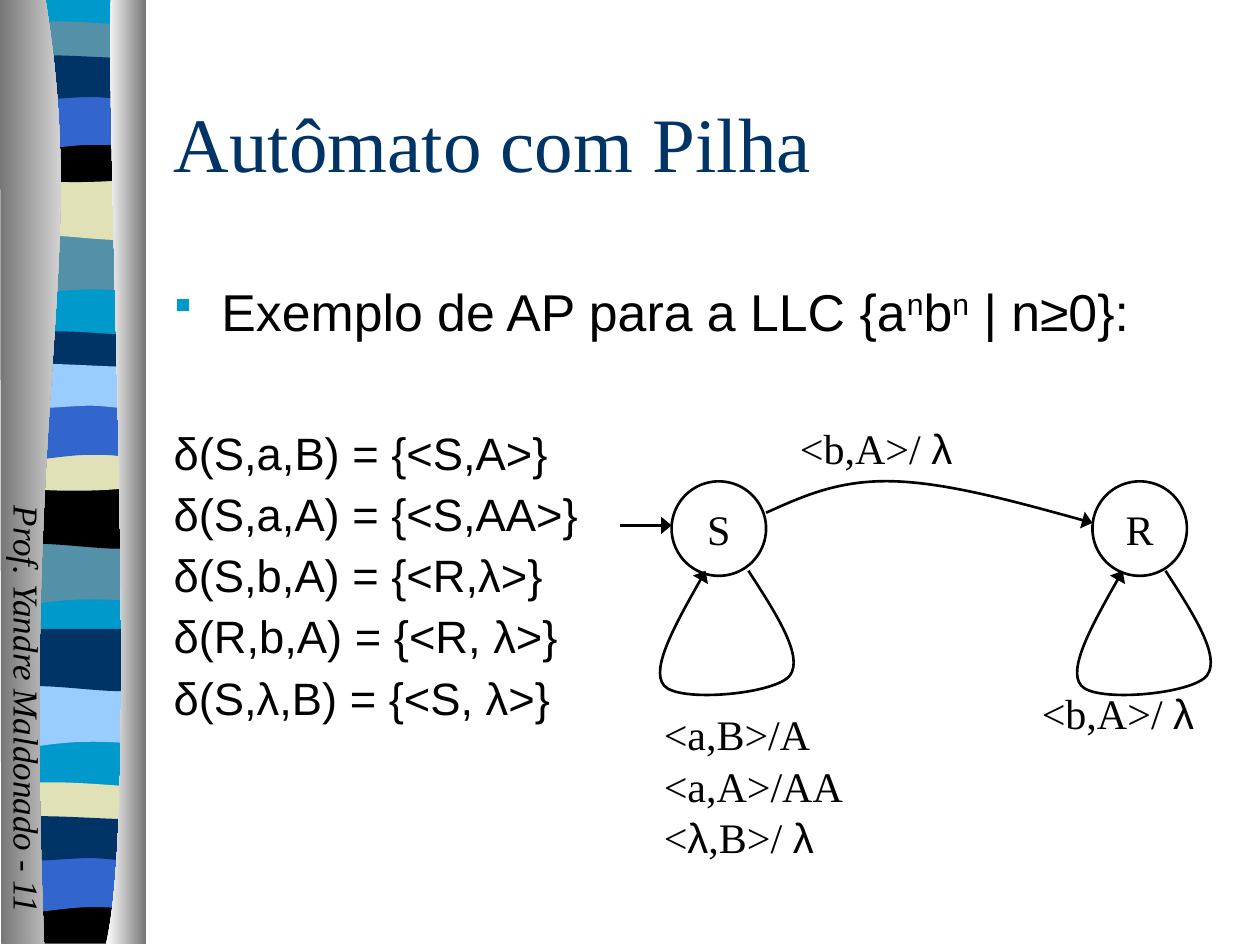
"""Build the pushdown automaton slide with its striped ribbon and state diagram."""
from itertools import groupby

from lxml import etree
from pptx import Presentation
from pptx.dml.color import RGBColor
from pptx.enum.shapes import MSO_CONNECTOR, MSO_SHAPE
from pptx.enum.text import MSO_ANCHOR, PP_ALIGN
from pptx.oxml.ns import qn
from pptx.util import Inches, Pt

STRAIGHT = MSO_CONNECTOR.STRAIGHT
OVAL = MSO_SHAPE.OVAL
MIDDLE = MSO_ANCHOR.MIDDLE
LEFT, CENTER = PP_ALIGN.LEFT, PP_ALIGN.CENTER
SERIF, SANS = "Times New Roman", "Arial"

COLORS = {
    "black": "000000", "navy": "003366", "cyan": "0099CC", "teal": "5490A8",
    "sand": "E1E1B7", "blue": "3366CC", "sky": "99CCFF",
    "shade": "767676", "white": "FFFFFF",
}

BANDS = {
    "wave": [(1.08, 0), (1.08, 0.47), (0.33, 0.39, 0.18, 0.55, 0, 0.47), (0, 0)],
    "block": [(1.08, 0), (1.08, 0.47), (0.9, 0.55, 0.33, 0.41, 0, 0.47), (0, 0)],
    "lens": [(1.08, 0.05), (1.08, 0.29), (0.9, 0.33, 0.18, 0.33, 0, 0.29), (0, 0.05),
             (0.06, 0, 0.23, 0.01, 0.41, 0.01), (0.59, 0.01, 0.94, 0.04, 1.08, 0.05)],
    "bowl": [(1.08, 0), (1.08, 0.32), (0.9, 0.38, 0.18, 0.38, 0, 0.32), (0, 0),
             (0.66, 0.05, 0.85, 0, 1.08, 0)],
    "base": [(1.08, 0), (1.08, 0.37), (0, 0.37), (0, 0), (0.66, 0.05, 0.85, 0, 1.08, 0)],
    "arch": [(1.08, 0), (1.08, 0.47), (0.91, 0.41, 0.84, 0.41, 0.66, 0.41),
             (0.48, 0.41, 0.16, 0.47, 0, 0.47), (0, 0)],
    "swell": [(1.08, 0.05), (1.08, 0.36), (1.01, 0.41, 0.84, 0.36, 0.66, 0.36),
              (0.48, 0.36, 0.11, 0.41, 0, 0.36), (0, 0.05),
              (0.15, 0, 0.73, 0.05, 0.91, 0.05), (1.09, 0.05, 1.04, 0.05, 1.08, 0.05)],
}

RIBBON = [
    (0.06, [("wave", 1.85, "teal"), ("block", 1.41, "sand"), ("lens", 0.16, "teal"),
            ("bowl", 1.08, "black"), ("arch", 0.74, "blue"), ("swell", 0.41, "navy")]),
    (0.05, [("wave", 4.31, "teal"), ("block", 3.86, "black"), ("lens", 2.62, "navy"),
            ("bowl", 3.53, "sand"), ("arch", 3.2, "blue"), ("swell", 2.86, "sky")]),
    (0.06, [("wave", 5.44, "sky"), ("block", 4.99, "navy")]),
    (0.05, [("lens", 6.2, "sand"), ("base", 7.12, "black"), ("arch", 6.79, "blue"),
            ("swell", 6.45, "navy")]),
]

LEFT_EDGE = [(0.36, -0.01), (0.71, 2.16, 0.17, 2.96, 0.35, 7.49), (0.01, 7.49), (0, -0.01)]
RIGHT_EDGE = [(0.88, -0.01), (0.84, 1.25, 1.11, 6.46, 0.84, 7.49), (1.16, 7.49), (1.16, 0)]
TRANSITION = [(6.08, 4.07), (6.37, 3.94, 6.65, 3.81, 7.08, 3.82),
              (7.51, 3.83, 8.09, 3.99, 8.67, 4.15)]
LOOP = [(0.78, 0), (1, 0.34, 1.22, 0.68, 1.11, 0.83),
        (1, 0.98, 0.22, 1.05, 0.11, 0.91), (0, 0.78, 0.22, 0.39, 0.44, 0)]
STATES = [("S", 5.33, 5.16), ("R", 8.67, 8.47)]
STATE_TOP, STATE_SIZE, LOOP_TOP = 3.82, 0.75, 4.53

LANGUAGE = [("Exemplo de AP para a LLC {a", False), ("n", True), ("b", False),
            ("n", True), (" | n≥0}:", False)]
RULES = ["δ(S,a,B) = {<S,A>}", "δ(S,a,A) = {<S,AA>}", "δ(S,b,A) = {<R,λ>}",
         "δ(R,b,A) = {<R, λ>}", "δ(S,λ,B) = {<S, λ>}"]
LABELS = [
    (5.17, 5.75, 1.12, ["<a,B>/A", "<a,A>/AA", "<λ,B>/ λ"]),
    (6.25, 3.48, 0.3, ["<b,A>/ λ"]),
    (8.17, 5.58, 0.3, ["<b,A>/ λ"]),
]


def color(name):
    """Return the named colour."""
    return RGBColor.from_string(COLORS[name])


class SlideBuilder:
    """Hold the slide and its style, with one method for each kind of element."""

    def __init__(self, slide):
        self.slide = slide
        self.shapes = slide.shapes

    def style_font(self, paragraph, size, name=SERIF, tint="black"):
        paragraph.font.size = Pt(size)
        paragraph.font.name = name
        paragraph.font.color.rgb = color(tint)

    def title(self, text, left, top, width, height):
        title = self.shapes.title
        title.left, title.top = Inches(left), Inches(top)
        title.width, title.height = Inches(width), Inches(height)
        title.text_frame.text = text
        title.text_frame.vertical_anchor = MIDDLE
        paragraph = title.text_frame.paragraphs[0]
        paragraph.alignment = LEFT
        self.style_font(paragraph, 44, tint="navy")

    def text_box(self, left, top, width, height):
        box = self.shapes.add_textbox(Inches(left), Inches(top), Inches(width), Inches(height))
        box.text_frame.word_wrap = True
        return box

    def bullet(self, paragraph, tint):
        properties = paragraph._p.get_or_add_pPr()
        properties.set("marL", str(Inches(0.38)))
        properties.set("indent", str(-Inches(0.38)))
        bullet_color = etree.SubElement(properties, qn("a:buClr"))
        etree.SubElement(bullet_color, qn("a:srgbClr"), val=COLORS[tint])
        etree.SubElement(properties, qn("a:buSzPct"), val="80000")
        etree.SubElement(properties, qn("a:buFont"), typeface="Wingdings", charset="2")
        etree.SubElement(properties, qn("a:buChar"), char="§")

    def body(self, left, top, width, height):
        frame = self.text_box(left, top, width, height).text_frame
        heading = frame.paragraphs[0]
        heading.space_before = Pt(8)
        self.style_font(heading, 29.6, SANS)
        self.bullet(heading, "cyan")
        for text, raised in LANGUAGE:
            run = heading.add_run()
            run.text = text
            if raised:
                run._r.get_or_add_rPr().set("baseline", "30000")
        for index, rule in enumerate(RULES):
            paragraph = frame.add_paragraph()
            paragraph.text = rule
            paragraph.line_spacing = 0.9
            paragraph.space_before = Pt(7 if index else 51)
            self.style_font(paragraph, 25.9, SANS)

    def label(self, left, top, height, lines):
        frame = self.text_box(left, top, 1.75, height).text_frame
        for index, line in enumerate(lines):
            paragraph = frame.add_paragraph() if index else frame.paragraphs[0]
            paragraph.line_spacing = 0.5
            paragraph.space_before = Pt(15)
            self.style_font(paragraph, 24)
            for is_lambda, letters in groupby(line, lambda letter: letter == "λ"):
                run = paragraph.add_run()
                run.text = "".join(letters)
                run.font.name = SANS if is_lambda else SERIF

    def side_note(self, text, left, top, width, height):
        box = self.text_box(left, top, width, height)
        box.rotation = 90
        paragraph = box.text_frame.paragraphs[0]
        paragraph.text = text
        paragraph.alignment = CENTER
        paragraph.space_before = Pt(12.5)
        self.style_font(paragraph, 20)
        paragraph.font.italic = True

    def outline(self, shape, arrow=False):
        shape.line.color.rgb = color("black")
        shape.line.width = Pt(1.5)
        if arrow:
            line = shape.element.spPr.find(qn("a:ln"))
            etree.SubElement(line, qn("a:tailEnd"), type="triangle", w="lg", len="med")

    def freeform(self, path, left=0, top=0, close=True):
        points = [(Inches(left + x), Inches(top + y)) for segment in path
                  for x, y in zip(segment[::2], segment[1::2])]
        builder = self.shapes.build_freeform(*points[0], scale=1.0)
        builder.add_line_segments(points[1:], close=close)
        shape = builder.convert_to_shape()
        shape.shadow.inherit = False
        lines = iter(list(shape.element.iter(qn("a:lnTo"))))
        for segment in path[1:]:
            line = next(lines)
            if len(segment) == 6:
                line.addprevious(curve := etree.Element(qn("a:cubicBezTo")))
                for part in (line, next(lines), next(lines)):
                    curve.append(part[0])
                    part.getparent().remove(part)
        return shape

    def band(self, path, left, top, tint):
        shape = self.freeform(path, left, top)
        shape.fill.solid()
        shape.fill.fore_color.rgb = color(tint)
        shape.line.fill.background()

    def edge(self, path, tints):
        shape = self.freeform(path)
        shape.fill.gradient()
        shape.fill.gradient_angle = 0
        for stop, tint in zip(shape.fill.gradient_stops, tints):
            stop.color.rgb = color(tint)
        shape.line.fill.background()

    def curved_arrow(self, path, left=0, top=0):
        shape = self.freeform(path, left, top, close=False)
        shape.fill.background()
        self.outline(shape, arrow=True)

    def straight_arrow(self, start_x, end_x, y):
        connector = self.shapes.add_connector(
            STRAIGHT, Inches(start_x), Inches(y), Inches(end_x), Inches(y))
        self.outline(connector, arrow=True)
        etree.SubElement(connector.element.spPr, qn("a:effectLst"))

    def state(self, name, left):
        shape = self.shapes.add_shape(OVAL, Inches(left), Inches(STATE_TOP),
                                      Inches(STATE_SIZE), Inches(STATE_SIZE))
        shape.shadow.inherit = False
        shape.fill.background()
        self.outline(shape)
        shape.text_frame.text = name
        shape.text_frame.vertical_anchor = MIDDLE
        paragraph = shape.text_frame.paragraphs[0]
        paragraph.alignment = CENTER
        self.style_font(paragraph, 24)


presentation = Presentation()
presentation.slide_width, presentation.slide_height = Inches(10), Inches(7.5)
builder = SlideBuilder(presentation.slides.add_slide(presentation.slide_layouts[5]))
builder.band([(0, 0), (1.08, 0), (1.08, 7.48), (0, 7.48)], 0.06, -0.01, "cyan")
for band_left, bands in RIBBON:
    for kind, band_top, band_tint in bands:
        builder.band(BANDS[kind], band_left, band_top, band_tint)
builder.edge(LEFT_EDGE, ("shade", "white"))
builder.edge(RIGHT_EDGE, ("white", "shade"))
builder.title("Autômato com Pilha", 1.28, 0.5, 8.5, 1.25)
builder.body(1.28, 2.17, 8.5, 4.5)
builder.side_note("Prof. Yandre Maldonado - 11", -1.66, 5.41, 3.75, 0.44)
for state_name, state_left, loop_left in STATES:
    builder.state(state_name, state_left)
    builder.curved_arrow(LOOP, loop_left, LOOP_TOP)
builder.curved_arrow(TRANSITION)
for label in LABELS:
    builder.label(*label)
builder.straight_arrow(4.92, 5.33, 4.17)
presentation.save("out.pptx")
